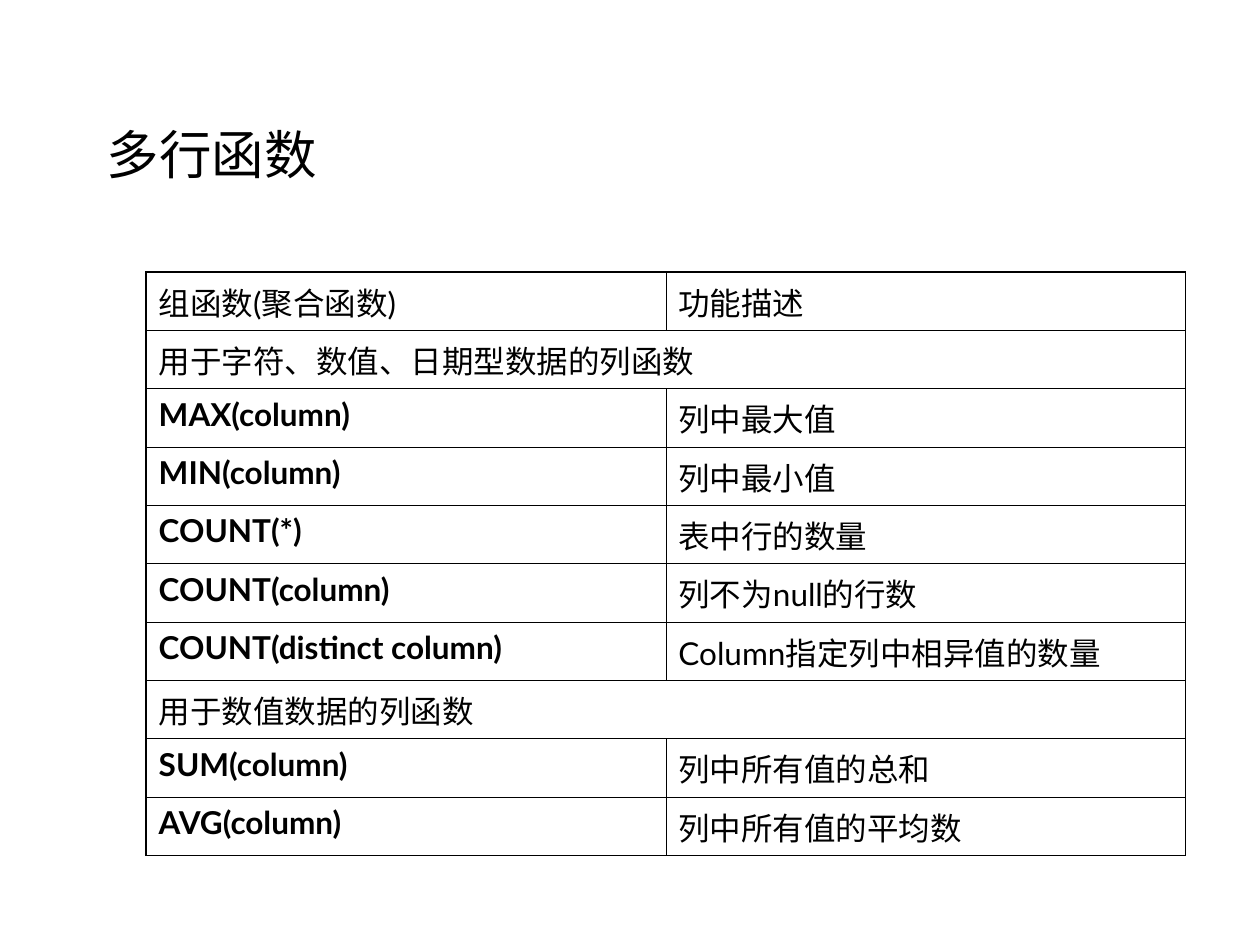
from dataclasses import dataclass

from lxml import etree
from pptx import Presentation
from pptx import util as u
from pptx.dml.color import RGBColor
from pptx.enum import text
from pptx.oxml import ns


@dataclass(frozen=True)
class Theme:
    ink: str = "000000"
    latin: str = "Lato"
    chinese: str = "Noto Sans CJK SC"
    title_size: int = 30
    cell_size: int = 18
    outer_line: float = 1.08
    inner_line: float = 0.45


THEME = Theme()

FUNCTIONS = [
    ("组函数(聚合函数)", "功能描述"),
    ("用于字符、数值、日期型数据的列函数",),
    ("MAX(column)", "列中最大值"),
    ("MIN(column)", "列中最小值"),
    ("COUNT(*)", "表中行的数量"),
    ("COUNT(column)", "列不为null的行数"),
    ("COUNT(distinct column)", "Column指定列中相异值的数量"),
    ("用于数值数据的列函数",),
    ("SUM(column)", "列中所有值的总和"),
    ("AVG(column)", "列中所有值的平均数"),
]


def add_run(paragraph, words, size, latin, bold=False):
    run = paragraph.add_run()
    run.text = words
    run.font.size = u.Pt(size)
    run.font.bold = bold
    run.font.name = latin
    run.font.color.rgb = RGBColor.from_string(THEME.ink)
    east_asian = etree.SubElement(run.font._element, ns.qn("a:ea"))
    east_asian.set("typeface", THEME.chinese)


def add_borders(cell, widths):
    properties = cell._tc.get_or_add_tcPr()
    for side, width in widths.items():
        line = etree.SubElement(properties, ns.qn(f"a:ln{side}"))
        line.set("w", str(u.Pt(width)))
        fill = etree.SubElement(line, ns.qn("a:solidFill"))
        etree.SubElement(fill, ns.qn("a:srgbClr")).set("val", THEME.ink)


def add_title(slide, left, top, width, height):
    title = slide.shapes.add_textbox(left, top, width, height)
    frame = title.text_frame
    frame.word_wrap = True
    frame.vertical_anchor = text.MSO_ANCHOR.MIDDLE
    add_run(frame.paragraphs[0], "多行函数", THEME.title_size, THEME.chinese)


def add_function_table(slide, left, top, width, height):
    last_row = len(FUNCTIONS) - 1
    frame = slide.shapes.add_table(len(FUNCTIONS), 2, left, top, width, height)
    table = frame.table
    table.first_row = table.horz_banding = False

    outer, inner = THEME.outer_line, THEME.inner_line
    for row, entries in enumerate(FUNCTIONS):
        is_section = len(entries) == 1
        if is_section:
            table.cell(row, 0).merge(table.cell(row, 1))
        for column in range(2):
            cell = table.cell(row, column)
            add_borders(cell, {
                "L": inner if column else outer,
                "R": outer if column or is_section else inner,
                "T": inner if row else outer,
                "B": outer if row == last_row else inner,
            })
            cell.fill.background()
        for column, words in enumerate(entries):
            is_function = row > 0 and column == 0 and not is_section
            paragraph = table.cell(row, column).text_frame.paragraphs[0]
            add_run(paragraph, words, THEME.cell_size, THEME.latin, is_function)


def main():
    deck = Presentation()
    deck.slide_width, deck.slide_height = u.Inches(10), u.Inches(7.5)
    slide = deck.slides.add_slide(deck.slide_layouts[6])
    add_title(slide, u.Inches(0.75), u.Inches(0.84), u.Inches(8.5), u.Inches(0.75))
    add_function_table(slide, u.Inches(1.16), u.Inches(2.16), u.Inches(8.25), u.Inches(4.63))
    deck.save("out.pptx")


if __name__ == "__main__":
    main()
